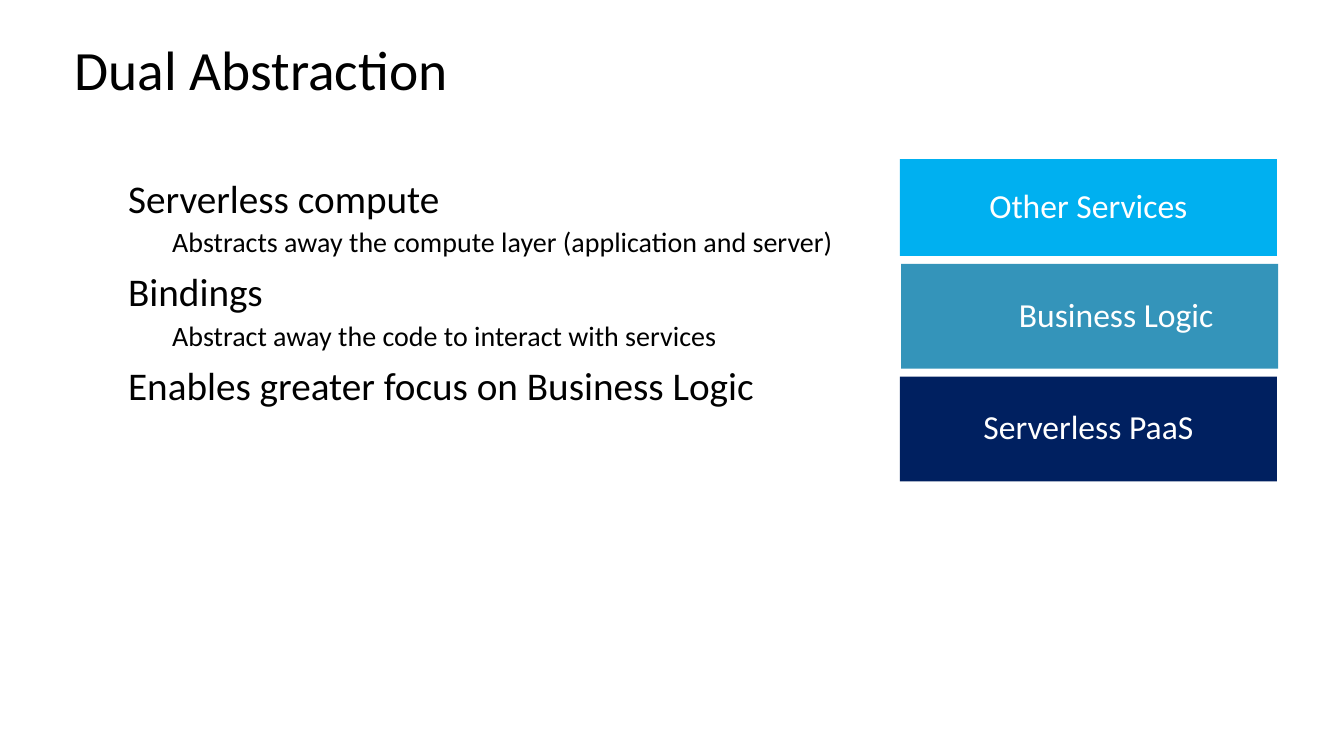
from dataclasses import dataclass

from pptx import Presentation
from pptx.dml.color import RGBColor
from pptx.enum.shapes import MSO_SHAPE as Preset
from pptx.enum.text import MSO_ANCHOR as Anchor, MSO_AUTO_SIZE as AutoSize, PP_ALIGN as Align
from pptx.slide import Slide
from pptx.text.text import TextFrame, _Paragraph as Paragraph
from pptx.util import Cm, Pt

COLORS = {
    "text": "000000",
    "label": "FFFFFF",
    "services": "00B0F0",
    "logic": "3494BA",
    "paas": "002060",
}
FONT = "Calibri"
STACK_TOP = 4.01
STACK_WIDTH = 9.5
STACK_GAP = 0.2


@dataclass
class Layer:
    label: str
    color: str
    height: float
    left: float = 22.68
    inset_left: float = 0.51


@dataclass
class Level:
    size: float
    indent: float
    space_before: float


@dataclass
class Point:
    text: str
    level: int = 0


LEVELS = [Level(28, 1.27, 10), Level(20, 2.38, 5)]

POINTS = [
    Point("Serverless compute"),
    Point("Abstracts away the compute layer (application and server)", 1),
    Point("Bindings"),
    Point("Abstract away the code to interact with services", 1),
    Point("Enables greater focus on Business Logic"),
]

LAYERS = [
    Layer("Other Services", "services", 2.44),
    Layer("Business Logic", "logic", 2.64, left=22.71, inset_left=1.85),
    Layer("Serverless PaaS", "paas", 2.64),
]


def add_text(paragraph: Paragraph, text: str, size: float, color: str, align: Align) -> None:
    paragraph.alignment = align
    paragraph.line_spacing = 0.9
    run = paragraph.add_run()
    run.text = text
    run.font.name = FONT
    run.font.size = Pt(size)
    run.font.color.rgb = RGBColor.from_string(COLORS[color])


def set_insets(frame: TextFrame, left: float, right: float, vertical: float) -> None:
    frame.word_wrap = True
    frame.margin_left, frame.margin_right = Cm(left), Cm(right)
    frame.margin_top = frame.margin_bottom = Cm(vertical)


def draw_title(slide: Slide, text: str) -> None:
    title = slide.shapes.title
    title.left, title.top, title.width, title.height = Cm(1.63), Cm(1.04), Cm(30.61), Cm(1.55)
    frame = title.text_frame
    frame.auto_size = AutoSize.NONE
    frame.vertical_anchor = Anchor.MIDDLE
    add_text(frame.paragraphs[0], text, 39.6, "text", Align.LEFT)


def draw_points(slide: Slide, points: list[Point]) -> None:
    body = slide.shapes.add_textbox(Cm(1.45), Cm(4.01), Cm(30.99), Cm(8.28))
    frame = body.text_frame
    set_insets(frame, 0.51, 0.51, 0.51)
    for index, point in enumerate(points):
        level = LEVELS[point.level]
        paragraph = frame.add_paragraph() if index else frame.paragraphs[0]
        paragraph.level = point.level
        paragraph._p.get_or_add_pPr().set("marL", str(Cm(level.indent)))
        if index:
            paragraph.space_before = Pt(level.space_before)
        add_text(paragraph, point.text, level.size, "text", Align.LEFT)


def draw_layer(slide: Slide, layer: Layer, top: float) -> None:
    box = slide.shapes.add_shape(
        Preset.RECTANGLE, Cm(layer.left), Cm(top), Cm(STACK_WIDTH), Cm(layer.height))
    box.shadow.inherit = False
    box.fill.solid()
    box.fill.fore_color.rgb = RGBColor.from_string(COLORS[layer.color])
    box.line.fill.background()
    frame = box.text_frame
    set_insets(frame, layer.inset_left, 0.51, 0.41)
    frame.vertical_anchor = Anchor.MIDDLE
    add_text(frame.paragraphs[0], layer.label, 24, "label", Align.CENTER)


def main() -> None:
    deck = Presentation()
    deck.slide_width, deck.slide_height = Cm(33.87), Cm(19.05)
    slide = deck.slides.add_slide(deck.slide_layouts.get_by_name("Title Only"))

    # Title and talking points
    draw_title(slide, "Dual Abstraction")
    draw_points(slide, POINTS)

    # Stack of layers, from top to bottom
    top = STACK_TOP
    for layer in LAYERS:
        draw_layer(slide, layer, top)
        top += layer.height + STACK_GAP

    deck.save("out.pptx")


if __name__ == "__main__":
    main()
